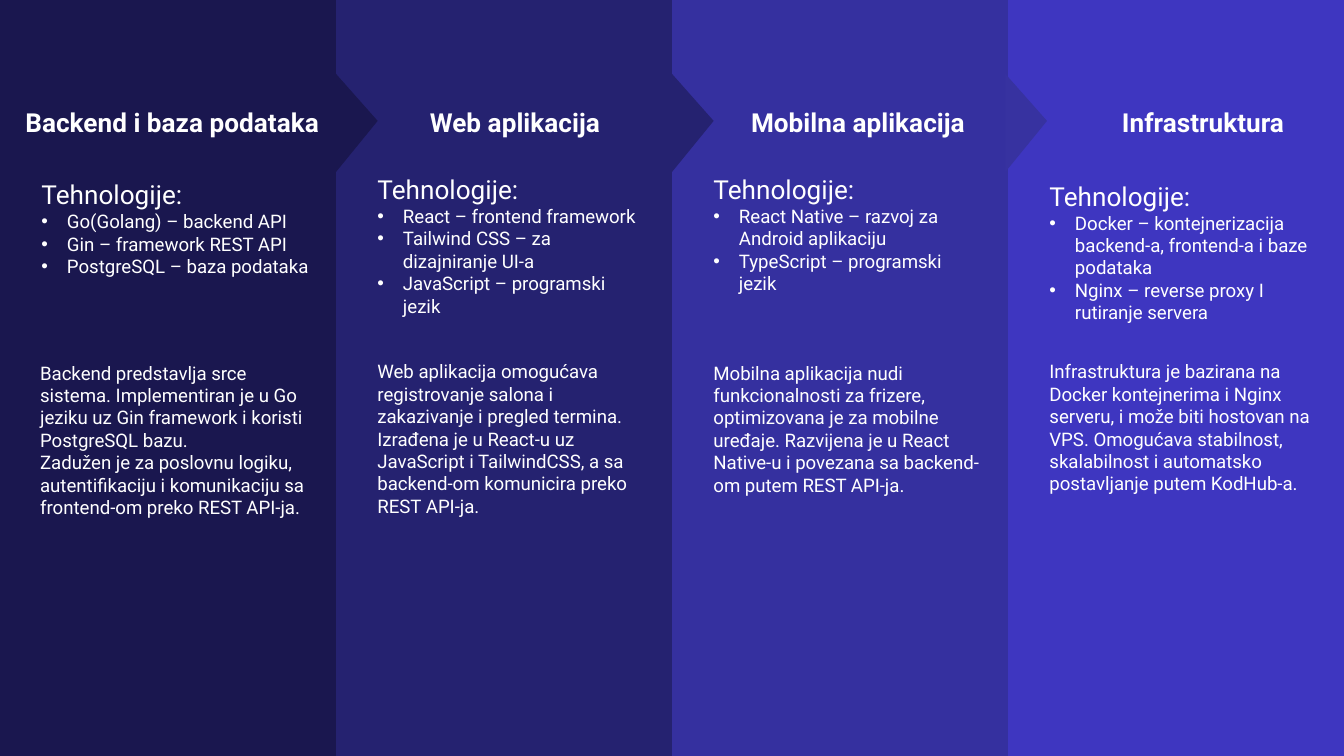
import pptx
import pptx.dml.color
import pptx.enum.shapes
import pptx.enum.text
import pptx.oxml.ns
import pptx.util
from dataclasses import dataclass
from lxml import etree
from pptx.dml.color import RGBColor
from pptx.util import Inches

WHITE = RGBColor(0xFF, 0xFF, 0xFF)
BACKGROUND = RGBColor(0x09, 0x10, 0x60)
NAVY = RGBColor(0x1A, 0x17, 0x4F)
INDIGO = RGBColor(0x25, 0x22, 0x70)
VIOLET = RGBColor(0x35, 0x30, 0x9F)
VIOLET_ARROW = RGBColor(0x37, 0x32, 0xA0)
BRIGHT = RGBColor(0x3E, 0x36, 0xC0)

FONT = "Roboto"
SLIDE_W = 10
SLIDE_H = SLIDE_W * 9 / 16
ARROW_W, ARROW_H = 0.73, 0.31
TEXT_LEFT, TEXT_W = 0.21, 2.19


@dataclass
class Layer:
    heading: str
    heading_left: float  # offsets are measured from the column's corner
    heading_width: float
    technologies: list
    technologies_top: float
    technologies_height: float
    summary: str
    summary_top: float
    fill: RGBColor
    arrow_fill: RGBColor = None
    arrow_left: float = 2.29
    summary_left: float = TEXT_LEFT
    summary_height: float = 1.28


LAYERS = [
    Layer("Backend i baza podataka", 0.09, 2.72,
          ["Go(Golang) – backend API", "Gin – framework REST API",
           "PostgreSQL – baza podataka"], 1.28, 1.01,
          "Backend predstavlja srce sistema. Implementiran je u Go jeziku uz Gin "
          "framework i koristi PostgreSQL bazu.\nZadužen je za poslovnu logiku, "
          "autentifikaciju i komunikaciju sa frontend-om preko REST API-ja.", 2.64,
          NAVY, NAVY, summary_left=0.2, summary_height=1.45),
    Layer("Web aplikacija", 0.6, 1.57,
          ["React – frontend framework", "Tailwind CSS – za dizajniranje UI-a",
           "JavaScript – programski jezik"], 1.24, 1.18,
          "Web aplikacija omogućava registrovanje salona i zakazivanje i pregled "
          "termina. Izrađena je u React-u uz JavaScript i TailwindCSS, a sa "
          "backend-om komunicira preko REST API-ja.", 2.63,
          INDIGO, INDIGO),
    Layer("Mobilna aplikacija", 0.49, 1.9,
          ["React Native – razvoj za Android aplikaciju",
           "TypeScript – programski jezik"], 1.24, 1.01,
          "Mobilna aplikacija nudi funkcionalnosti za frizere, optimizovana je za "
          "mobilne uređaje. Razvijena je u React Native-u i povezana sa "
          "backend-om putem REST API-ja.", 2.64,
          VIOLET, VIOLET_ARROW, arrow_left=2.27),
    Layer("Infrastruktura", 0.75, 1.57,
          ["Docker – kontejnerizacija backend-a, frontend-a i baze podataka",
           "Nginx – reverse proxy I rutiranje servera"], 1.29, 1.35,
          "Infrastruktura je bazirana na Docker kontejnerima i Nginx serveru, i "
          "može biti hostovan na VPS. Omogućava stabilnost, skalabilnost i "
          "automatsko postavljanje putem KodHub-a.", 2.63,
          BRIGHT),
]


def add_block(slide, kind, left, top, width, height, fill):
    block = slide.shapes.add_shape(
        kind, Inches(left), Inches(top), Inches(width), Inches(height))
    block.shadow.inherit = False
    block.fill.solid()
    block.fill.fore_color.rgb = fill
    block.line.fill.background()
    return block


def add_text_frame(slide, left, top, width, height):
    frame = slide.shapes.add_textbox(
        Inches(left), Inches(top), Inches(width), Inches(height)).text_frame
    frame.word_wrap = True
    frame.auto_size = pptx.enum.text.MSO_AUTO_SIZE.SHAPE_TO_FIT_TEXT
    return frame


def write(paragraph, text, size, bold=False):
    paragraph.text = text
    paragraph.font.name = FONT
    paragraph.font.size = pptx.util.Pt(size)
    paragraph.font.bold = bold
    paragraph.font.color.rgb = WHITE


def add_bullet(paragraph):
    qn = pptx.oxml.ns.qn
    properties = paragraph._p.get_or_add_pPr()
    properties.set("marL", str(Inches(0.19)))
    properties.set("indent", str(Inches(-0.19)))
    colour = etree.SubElement(properties, qn("a:buClr"))
    etree.SubElement(colour, qn("a:srgbClr"), val=str(WHITE))
    etree.SubElement(properties, qn("a:buFont"), typeface="Arial")
    etree.SubElement(properties, qn("a:buChar"), char="•")


def add_column(slide, layer, left, top, width, height):
    shapes = pptx.enum.shapes.MSO_SHAPE
    add_block(slide, shapes.RECTANGLE, left, top, width, height, layer.fill)

    # Arrow pointing into the next column
    if layer.arrow_fill is not None:
        arrow = add_block(slide, shapes.ISOSCELES_TRIANGLE, left + layer.arrow_left,
                          top + 0.76, ARROW_W, ARROW_H, layer.arrow_fill)
        arrow.rotation = 90
        arrow.adjustments[0] = 0.48

    # Heading
    heading = add_text_frame(slide, left + layer.heading_left, top + 0.74,
                             layer.heading_width, 0.35)
    write(heading.paragraphs[0], layer.heading, 14, bold=True)

    # Technology list
    technologies = add_text_frame(slide, left + TEXT_LEFT,
                                  top + layer.technologies_top,
                                  TEXT_W, layer.technologies_height)
    write(technologies.paragraphs[0], "Tehnologije:", 14)
    for technology in layer.technologies:
        item = technologies.add_paragraph()
        add_bullet(item)
        write(item, technology, 10)

    # Summary
    summary = add_text_frame(slide, left + layer.summary_left,
                             top + layer.summary_top,
                             TEXT_W, layer.summary_height)
    write(summary.paragraphs[0], layer.summary, 10)


def main():
    deck = pptx.Presentation()
    deck.slide_width, deck.slide_height = Inches(SLIDE_W), Inches(SLIDE_H)
    slide = deck.slides.add_slide(deck.slide_layouts[6])
    slide.background.fill.solid()
    slide.background.fill.fore_color.rgb = BACKGROUND

    # Right to left, so that each arrow lies over the next column
    column_w = SLIDE_W / len(LAYERS)
    for index, layer in reversed(list(enumerate(LAYERS))):
        add_column(slide, layer, index * column_w, 0, column_w, SLIDE_H)

    deck.save("out.pptx")


if __name__ == "__main__":
    main()
